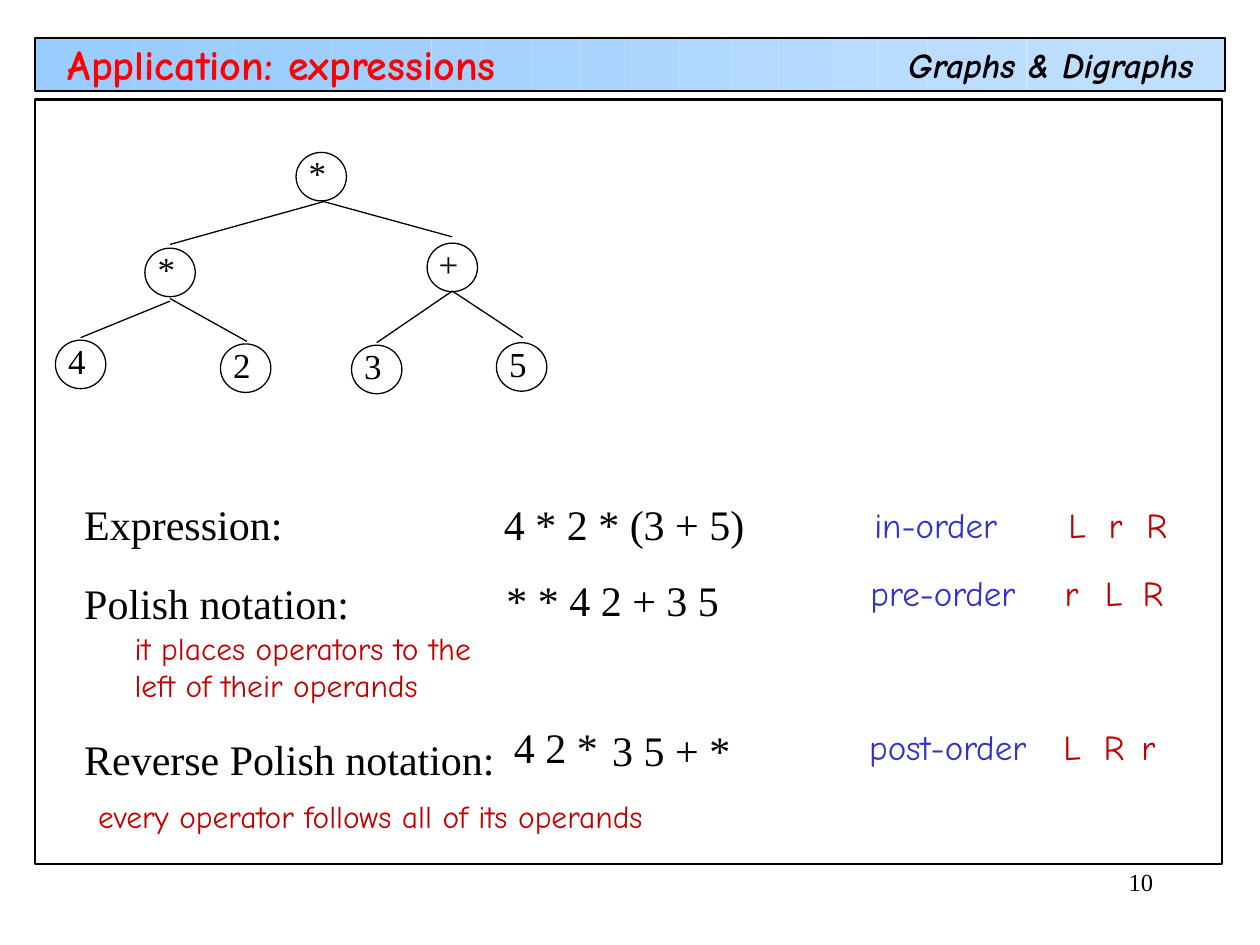
import math

from lxml import etree
from pptx import Presentation, util as u
from pptx.dml import color
from pptx.enum import shapes, text
from pptx.oxml import ns

COLORS = {"black": "000000", "title": "FF0000", "order": "3333CC",
          "note": "C00000", "bar_left": "99CCFF", "bar_right": "C0DFFF"}
SERIF, COMIC = "Times New Roman", "Comic Neue"
COLS, ROWS = 100, 75


def rgb(name):
    return color.RGBColor.from_string(COLORS[name])


def blend(start, end, share):
    return color.RGBColor(*(round(a + (b - a) * share)
                            for a, b in zip(rgb(start), rgb(end))))


class Deck:
    def __init__(self):
        self.prs = Presentation()
        self.prs.slide_width, self.prs.slide_height = u.Inches(10), u.Inches(7.5)
        self.s = self.prs.slides.add_slide(self.prs.slide_layouts[6])

    def x(self, col):
        return round(self.prs.slide_width * col / COLS)

    def y(self, row):
        return round(self.prs.slide_height * row / ROWS)

    def box(self, col, row, w, h):
        return self.x(col), self.y(row), self.x(w), self.y(h)

    def style(self, r, size, font, name, bold=False, italic=False):
        f = r.font
        f.size, f.name, f.bold, f.italic = u.Pt(size), font, bold, italic
        f.color.rgb = rgb(name)

    def shape(self, kind, at, fill=None, line=None):
        sp = self.s.shapes.add_shape(kind, *self.box(*at))
        sp.shadow.inherit = False
        if fill is None:
            sp.fill.background()
        else:
            sp.fill.solid()
            sp.fill.fore_color.rgb = fill
        if line is None:
            sp.line.fill.background()
        else:
            sp.line.color.rgb = rgb("black")
            sp.line.width = u.Pt(line)
        return sp

    def bar(self, at, strips):
        col, row, w, h = at
        step = w / strips
        for i in range(strips):
            share = (1 - math.cos(math.pi * i / (strips - 1))) / 2
            self.shape(shapes.MSO_SHAPE.RECTANGLE, (col + i * step, row, step, h),
                       fill=blend("bar_left", "bar_right", share))
        self.frame(at)

    def frame(self, at):
        self.shape(shapes.MSO_SHAPE.RECTANGLE, at, line=1.25)

    def node(self, label, col, row):
        sp = self.shape(shapes.MSO_SHAPE.OVAL, (col, row, 4, 3.85), line=0.75)
        tf = sp.text_frame
        tf.margin_left = tf.margin_top = 0
        tf.margin_right = tf.margin_bottom = u.Inches(0.06)
        tf.word_wrap = False
        tf.vertical_anchor = text.MSO_ANCHOR.MIDDLE
        tf.text = label
        p = tf.paragraphs[0]
        p.alignment = text.PP_ALIGN.CENTER
        self.style(p.runs[0], 20, SERIF, "black")

    def edge(self, start, end):
        c = self.s.shapes.add_connector(
            shapes.MSO_CONNECTOR.STRAIGHT, self.x(start[0]), self.y(start[1]),
            self.x(end[0]), self.y(end[1]))
        c.line.color.rgb = rgb("black")
        c.line.width = u.Pt(0.75)
        etree.SubElement(c._element.spPr, ns.qn("a:effectLst"))

    def text(self, words, at, size=24, font=SERIF, name="black", bold=False,
             italic=False, wrap=True, align=text.PP_ALIGN.LEFT,
             anchor=text.MSO_ANCHOR.TOP):
        tf = self.s.shapes.add_textbox(*self.box(*at)).text_frame
        tf.word_wrap = wrap
        tf.vertical_anchor = anchor
        tf.text = words
        for p in tf.paragraphs:
            p.alignment = align
            for r in p.runs:
                self.style(r, size, font, name, bold, italic)
        return tf

    def order(self, label, visits, at):
        p = self.text(label, at, 20, COMIC, "order").paragraphs[0]
        r = p.add_run()
        r.text = "".join("\t" + visit for visit in visits)
        self.style(r, 20, COMIC, "note")
        tabs = etree.SubElement(p._p.get_or_add_pPr(), ns.qn("a:tabLst"))
        for stop in (1.54, 1.86, 2.16):
            etree.SubElement(tabs, ns.qn("a:tab"), pos=str(u.Inches(stop)), algn="l")


def main():
    d = Deck()
    d.bar((2.8, 3, 94.4, 4.2), 24)
    d.frame((2.8, 7.9, 94.2, 60.7))
    d.text("Graphs & Digraphs", (71.1, 3, 24.8, 4.4), 20, COMIC,
           bold=True, italic=True, wrap=False)
    d.text("10", (79.2, 68.3, 13.3, 5), 14, align=text.PP_ALIGN.RIGHT)
    d.text("Application: expressions", (4.4, 3.8, 51.7, 2.5), 24, COMIC, "title",
           bold=True, anchor=text.MSO_ANCHOR.MIDDLE)

    for label, col, row in (("*", 23.5, 12.1), ("*", 11.5, 19.7), ("+", 33.9, 19.3),
                            ("4", 4.4, 27), ("2", 17.5, 27.3),
                            ("3", 27.9, 27.4), ("5", 39.4, 27.2)):
        d.node(label, col, row)
    for start, end in (((25.7, 16), (13.5, 19.4)), ((25.7, 16), (35.9, 18.8)),
                       ((13.5, 23.9), (6.4, 26.8)), ((13.5, 23.7), (19.6, 27.1)),
                       ((35.9, 23.1), (29.9, 27.2)), ((35.9, 23.1), (41.5, 26.8))):
        d.edge(start, end)

    labels = d.text("Expression:\nPolish notation:\nReverse Polish notation:",
                    (5.7, 39.1, 89.7, 23.3))
    for p, gap in zip(labels.paragraphs[1:], (16.4, 60)):
        p.space_before = u.Pt(gap)

    for words, col, row, w in (("4 * 2 * (3 + 5)", 39, 39.1, 37),
                               ("* * 4 2 + 3 5", 39.2, 45.1, 36.3),
                               ("4 2 *", 39.8, 56.8, 10.2),
                               ("3 5 + *", 47.6, 57, 11.4)):
        d.text(words, (col, row, w, 5))
    for label, visits, col, row in (("in-order", "LrR", 68.4, 39.5),
                                    ("pre-order", "rLR", 68.1, 44.9),
                                    ("post-order", "LRr", 68, 57.1)):
        d.order(label, visits, (col, row, 27.2, 4.4))
    for words, at in (("it places operators to the\nleft of their operands",
                       (9.7, 49.4, 34.6, 7)),
                      ("every operator follows all of its operands",
                       (6.8, 62.8, 57.8, 4))):
        d.text(words, at, 18, COMIC, "note")
    d.prs.save("out.pptx")


if __name__ == "__main__":
    main()
